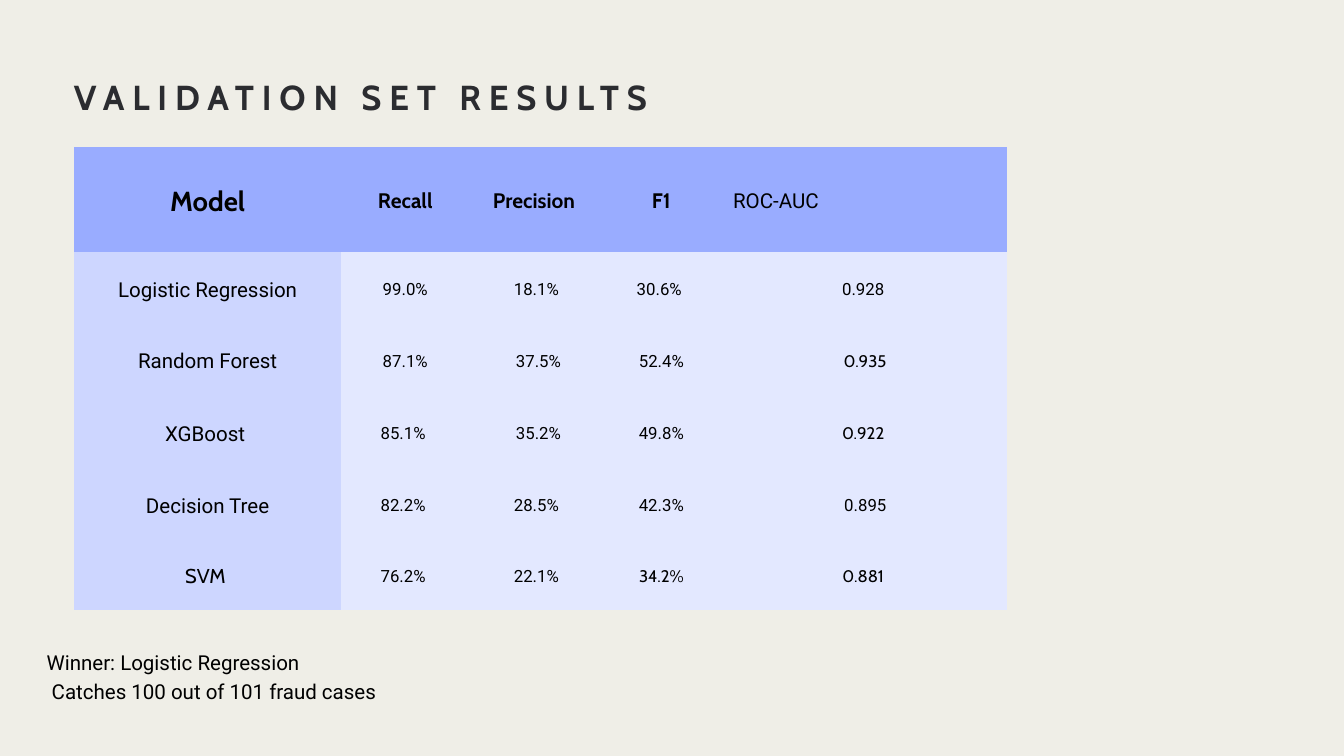
import pptx
import pptx.util
import pptx.oxml
import pptx.oxml.ns
from pptx.dml.color import RGBColor
from pptx.enum.text import MSO_ANCHOR, MSO_AUTO_SIZE, PP_ALIGN

Pt = pptx.util.Pt

# Content
TITLE = "VALIDATION SET RESULTS"
HEADER = ["Model", "Recall", "Precision ", "F1", "ROC-AUC"]
RESULTS = [
    ["Logistic Regression", "99.0%", "18.1%", "30.6% ", "0.928"],
    ["Random Forest", "87.1%", " 37.5%", " 52.4% ", " 0.935"],
    ["XGBoost ", "85.1% ", " 35.2%", "49.8%", "0.922"],
    ["Decision Tree", "82.2% ", "28.5%", "42.3%", " 0.895"],
    ["SVM ", "76.2% ", "22.1%", "34.2%", "0.881"],
]
WINNER = ["Winner: Logistic Regression", " Catches 100 out of 101 fraud cases"]

# Style
BACKGROUND = RGBColor(0xEF, 0xEE, 0xE7)
BLACK = RGBColor(0, 0, 0)
TITLE_INK = RGBColor(0x2B, 0x2C, 0x30)
HEADER_FILL = RGBColor(0x99, 0xAC, 0xFF)
MODEL_FILL = RGBColor(0xCD, 0xD6, 0xFF)
VALUE_FILL = RGBColor(0xE3, 0xE8, 0xFF)
HEADING_FONT, BODY_FONT = "Cabin", "Roboto"
LEADING = 1.4

COL_WIDTHS = [286.5, 137, 144, 123.8, 308.8]
ROW_HEIGHTS = [113, 76.5, 77.5, 77.5, 76.5, 76]
CABIN_CELLS = {(2, 4), (3, 4), (5, 0), (5, 3), (5, 4)}


def format_paragraph(p, size, font, color=BLACK, bold=False):
    p.line_spacing = Pt(round(size * LEADING, 1))
    for r in p.runs:
        r.font.size = Pt(size)
        r.font.name = font
        r.font.bold = bold
        r.font.color.rgb = color


def set_margins(tf, margin):
    tf.margin_left = tf.margin_right = tf.margin_top = tf.margin_bottom = Pt(margin)


def cell_style(row, col):
    """Return fill, size, font and bold for a table cell."""
    if row == 0:
        if col == 4:
            return HEADER_FILL, 22, BODY_FONT, False
        return HEADER_FILL, 29.5 if col == 0 else 22.5, HEADING_FONT, True
    font = HEADING_FONT if (row, col) in CABIN_CELLS else BODY_FONT
    if col == 0:
        return MODEL_FILL, 21.5 if font == HEADING_FONT else 22, font, False
    return VALUE_FILL, 18, font, False


def add_borders(cell):
    tc_pr = cell._tc.get_or_add_tcPr()
    for side in "LRTB":
        tc_pr.append(pptx.oxml.parse_xml(
            f'<a:ln{side} {pptx.oxml.ns.nsdecls("a")} w="0"><a:solidFill>'
            f'<a:srgbClr val="{HEADER_FILL}"/></a:solidFill></a:ln{side}>'))


prs = pptx.Presentation()
prs.slide_width, prs.slide_height = Pt(1440), Pt(810)
s = prs.slides.add_slide(prs.slide_layouts[5])
s.background.fill.solid()
s.background.fill.fore_color.rgb = BACKGROUND

# Results table
table = s.shapes.add_table(len(ROW_HEIGHTS), len(COL_WIDTHS), Pt(79.2), Pt(157),
                           Pt(sum(COL_WIDTHS)), Pt(sum(ROW_HEIGHTS))).table
table.first_row = table.horz_banding = False
for column, width in zip(table.columns, COL_WIDTHS):
    column.width = Pt(width)
for row, height in zip(table.rows, ROW_HEIGHTS):
    row.height = Pt(height)
for i, texts in enumerate([HEADER] + RESULTS):
    for j, text in enumerate(texts):
        cell = table.cell(i, j)
        fill, size, font, bold = cell_style(i, j)
        add_borders(cell)
        cell.fill.solid()
        cell.fill.fore_color.rgb = fill
        cell.vertical_anchor = MSO_ANCHOR.MIDDLE
        set_margins(cell, 15)
        p = cell.text_frame.paragraphs[0]
        p.text = text
        p.alignment = PP_ALIGN.LEFT if (i, j) == (0, 4) else PP_ALIGN.CENTER
        format_paragraph(p, size, font, bold=bold)

# Winner note
tf = s.shapes.add_textbox(Pt(46), Pt(669), Pt(839.5), Pt(108)).text_frame
tf.word_wrap = True
tf.vertical_anchor = MSO_ANCHOR.MIDDLE
set_margins(tf, 4)
tf.text = "\n".join(WINNER)
for p in tf.paragraphs:
    format_paragraph(p, 22, BODY_FONT)

# Title
title = s.shapes.title
title.left, title.top, title.width, title.height = Pt(79.2), Pt(74), Pt(1278), Pt(51)
tf = title.text_frame
tf.text = TITLE
tf.word_wrap = True
tf.auto_size = MSO_AUTO_SIZE.SHAPE_TO_FIT_TEXT
tf.vertical_anchor = MSO_ANCHOR.TOP
set_margins(tf, 0)
p = tf.paragraphs[0]
p.alignment = PP_ALIGN.LEFT
format_paragraph(p, 37.1, HEADING_FONT, TITLE_INK, bold=True)
p.runs[0].font._element.set("spc", "840")

prs.save("out.pptx")
